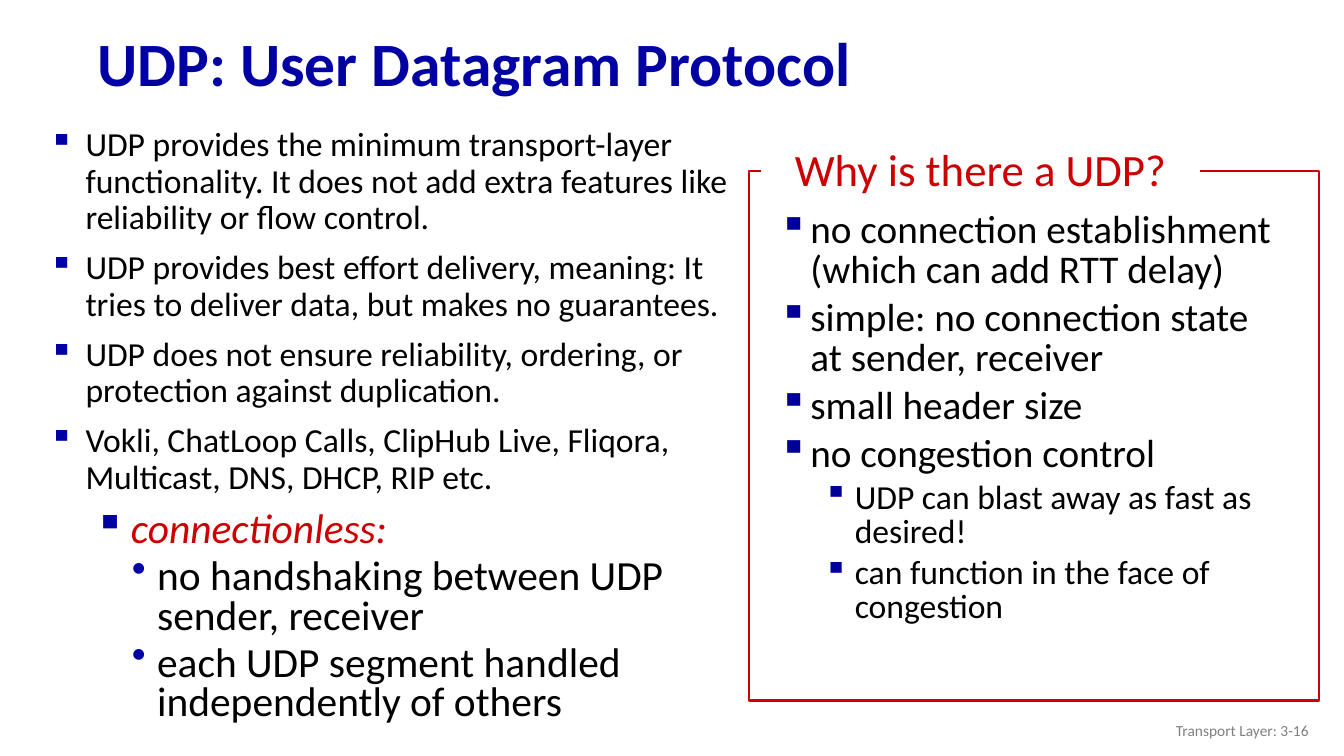
import lxml.etree
import pptx
import pptx.dml.color
import pptx.enum.shapes
import pptx.enum.text
import pptx.oxml.ns
import pptx.util

Inches = pptx.util.Inches
Pt = pptx.util.Pt
ALIGN = pptx.enum.text.PP_ALIGN
ANCHOR = pptx.enum.text.MSO_ANCHOR

BLUE = "0000A3"
DEEP_BLUE = "000099"
RED = "CC0000"
BLACK = "000000"
GREY = "808080"
WHITE = "FFFFFF"


def color(value):
    return pptx.dml.color.RGBColor.from_string(value)


def apply(target, values):
    for key, value in values.items():
        setattr(target, key, value)


class SlideBuilder:
    font_name = "Calibri"

    def __init__(self, deck):
        self.slide = deck.slides.add_slide(deck.slide_layouts[6])

    def bullet(self, paragraph, left, hanging, mark, mark_color):
        properties = paragraph._p.get_or_add_pPr()
        properties.set("marL", str(Inches(left)))
        properties.set("indent", str(-Inches(hanging)))
        qn = pptx.oxml.ns.qn
        tint = lxml.etree.SubElement(properties, qn("a:buClr"))
        lxml.etree.SubElement(tint, qn("a:srgbClr")).set("val", mark_color)
        lxml.etree.SubElement(properties, qn("a:buChar")).set("char", mark)

    def fill_text(self, shape, lines, anchor=ANCHOR.TOP):
        frame = shape.text_frame
        apply(frame, {"word_wrap": True, "vertical_anchor": anchor})
        for index, (text, style) in enumerate(lines):
            paragraph = frame.paragraphs[0] if index == 0 else frame.add_paragraph()
            if "bullet" in style:
                self.bullet(paragraph, *style["bullet"])
            apply(paragraph, {
                "level": style.get("level", 0),
                "alignment": style.get("align", ALIGN.LEFT),
                "line_spacing": style.get("spacing", 1.0),
                "space_before": Pt(style.get("before", 0) if index else 0),
            })
            run = paragraph.add_run()
            run.text = text
            apply(run.font, {
                "name": self.font_name,
                "size": Pt(style["size"]),
                "bold": style.get("bold", False),
                "italic": style.get("italic", False),
            })
            run.font.color.rgb = color(style.get("color", BLACK))

    def text(self, box, lines, anchor=ANCHOR.TOP):
        shape = self.slide.shapes.add_textbox(*map(Inches, box))
        self.fill_text(shape, lines, anchor)

    def rectangle(self, box, fill=None, line=None, lines=()):
        kind = pptx.enum.shapes.MSO_SHAPE.RECTANGLE
        shape = self.slide.shapes.add_shape(kind, *map(Inches, box))
        shape.shadow.inherit = False
        if fill:
            shape.fill.solid()
            shape.fill.fore_color.rgb = color(fill)
        else:
            shape.fill.background()
        if line:
            shape.line.color.rgb = color(line)
            shape.line.width = Pt(1.5)
        else:
            shape.line.fill.background()
        if lines:
            self.fill_text(shape, lines)


def main():
    deck = pptx.Presentation()
    apply(deck, {"slide_width": Inches(13.33), "slide_height": Inches(7.5)})
    page = SlideBuilder(deck)

    title = {"size": 44, "bold": True, "color": BLUE, "spacing": 0.9}
    feature = {"size": 24, "spacing": 0.9, "before": 10, "bullet": (0.5, 0.36, "▪", BLUE)}
    reason = {"size": 28, "spacing": 0.85, "before": 5.6,
              "bullet": (0.31, 0.31, "▪", DEEP_BLUE)}
    detail = {**reason, "size": 24, "before": 4.8, "level": 1,
              "bullet": (0.75, 0.31, "▪", DEEP_BLUE)}
    heading = {"size": 32, "color": RED, "spacing": 0.8, "align": ALIGN.CENTER}
    term = {"size": 29.6, "color": RED, "italic": True, "spacing": 0.8,
            "bullet": (0.5, 0.36, "▪", BLUE)}
    meaning = {"size": 29.6, "spacing": 0.8, "before": 5, "level": 1,
               "bullet": (0.76, 0.25, "•", "0000A8")}
    footer = {"size": 11, "color": GREY, "align": ALIGN.RIGHT}

    page.text((0.87, 0.17, 12.14, 0.98),
              [("UDP: User Datagram Protocol", title)], ANCHOR.MIDDLE)
    page.text((0.25, 1.22, 7.1, 3.2), [
        ("UDP provides the minimum transport-layer functionality. "
         "It does not add extra features like reliability or flow control.", feature),
        ("UDP provides best effort delivery, meaning: "
         "It tries to deliver data, but makes no guarantees.", feature),
        ("UDP does not ensure reliability, ordering, "
         "or protection against duplication.", feature),
        ("Vokli, ChatLoop Calls, ClipHub Live, Fliqora, "
         "Multicast, DNS, DHCP, RIP etc.", feature),
    ])
    page.text((7.63, 2.05, 5.17, 4.36), [
        ("no connection establishment (which can add RTT delay)", reason),
        ("simple: no connection state at sender, receiver", reason),
        ("small header size", reason),
        ("no congestion control", reason),
        ("UDP can blast away as fast as desired!", detail),
        ("can function in the face of congestion", detail),
    ])
    page.rectangle((7.43, 1.7, 5.65, 5.25), line=RED)
    page.rectangle((7.55, 1.46, 4.35, 0.54), fill=WHITE,
                   lines=[("Why is there a UDP?", heading)])
    page.text((0.7, 5.03, 6.07, 2.25), [
        ("connectionless:", term),
        ("no handshaking between UDP sender, receiver", meaning),
        ("each UDP segment handled independently of others", meaning),
    ])
    page.text((10.08, 7.05, 3, 0.4), [("Transport Layer: 3-16", footer)], ANCHOR.MIDDLE)

    deck.save("out.pptx")


if __name__ == "__main__":
    main()
